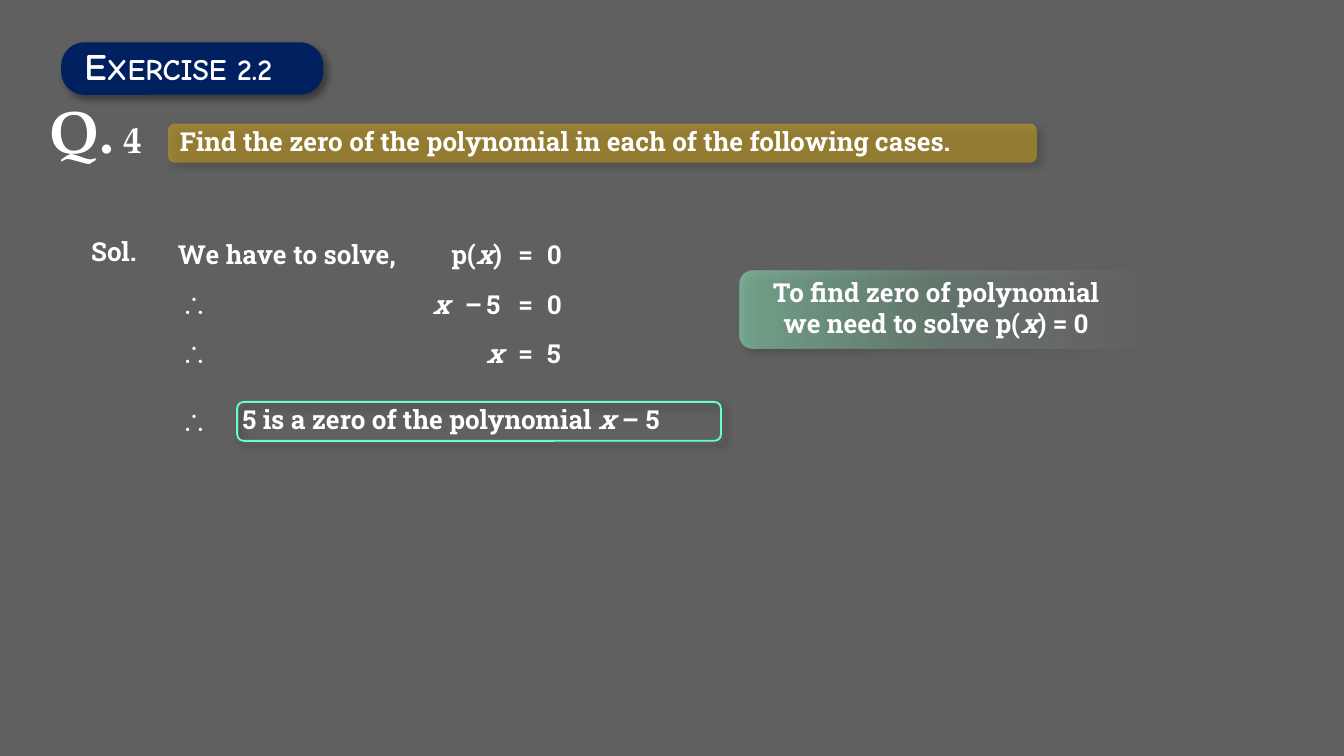
"""Build the Exercise 2.2 question 4 slide: the zero of a linear polynomial."""
from dataclasses import dataclass
from typing import NamedTuple, Optional

from lxml.etree import SubElement
from pptx import Presentation
from pptx.dml.color import RGBColor
from pptx.enum.shapes import MSO_SHAPE as Shapes
from pptx.enum.text import MSO_AUTO_SIZE as AutoSize, PP_ALIGN as Align
from pptx.oxml import parse_xml
from pptx.oxml.ns import nsdecls, qn
from pptx.util import Inches, Pt


@dataclass(frozen=True)
class Theme:
    backdrop: str = "606060"
    navy: str = "002060"
    gold: str = "FFC000"
    mint: str = "99FFCC"
    outline: str = "66FFCC"
    white: str = "FFFFFF"
    shadow: str = "000000"
    body_font: str = "Roboto Slab"
    symbol_font: str = "Arial"
    badge_font: str = "Comic Neue"
    question_font: str = "TeX Gyre Pagella"
    body: int = 14
    small_caps: int = 16
    caps: int = 20
    question: int = 32


class Area(NamedTuple):
    """Left, top, width and height in grid cells."""
    column: float
    row: float
    columns: float
    rows: float


class Piece(NamedTuple):
    text: str
    italic: bool = False
    size: Optional[int] = None


class Stop(NamedTuple):
    share: int
    color: str
    alpha: int


@dataclass(frozen=True)
class Panel:
    area: Area
    fill: Optional[str] = None
    alpha: int = 100
    line: Optional[str] = None
    corner: float = 0.167
    stops: tuple = ()


@dataclass(frozen=True)
class Label:
    area: Area
    pieces: tuple
    font: str
    align: Align = Align.LEFT
    wrap: bool = True


THEME = Theme()
SLIDE_WIDTH = 10
SLIDE_HEIGHT = SLIDE_WIDTH * 9 / 16
CELL = SLIDE_WIDTH / 100
LINE_ROWS = 3.4
TERM_COLUMNS = 3.3
COLUMNS = {"lead": 12.5, "x": 31.2, "minus": 33.6, "last": 35.2,
           "equals": 37.6, "right": 39.7}
ROWS = {"solve": 17.25, "expand": 21, "result": 24.6, "conclude": 29.7}

PANELS = (
    Panel(Area(4.55, 3.15, 19.5, 3.9), THEME.navy, corner=0.442),
    Panel(Area(12.5, 9.2, 64.65, 2.9), THEME.gold, alpha=38),
    Panel(Area(17.65, 29.9, 36, 2.9), line=THEME.outline),
    Panel(Area(55.05, 20.15, 30.2, 5.75), stops=(
        Stop(0, THEME.mint, 47), Stop(50, THEME.mint, 16), Stop(100, THEME.white, 0))),
)

X = Piece("x", italic=True)
LABELS = (
    Label(Area(2.7, 6.5, 10.7, 6.4),
          (Piece("Q.", size=THEME.question), Piece(" 4", size=THEME.caps)), THEME.question_font),
    Label(Area(5.3, 2.7, 18.5, 4.4),
          (Piece("E", size=THEME.caps), Piece("XERCISE 2.2", size=THEME.small_caps)),
          THEME.badge_font),
    Label(Area(12.4, 8.85, 65.8, LINE_ROWS),
          (Piece("Find the zero of the polynomial in each of the following cases."),),
          THEME.body_font, Align.JUSTIFY),
    Label(Area(5.8, 17, 6.6, LINE_ROWS), (Piece("Sol."),), THEME.body_font),
    Label(Area(12.25, ROWS["solve"], 19.8, LINE_ROWS), (Piece("We have to solve,"),),
          THEME.body_font),
    Label(Area(32.6, ROWS["solve"], 5.8, LINE_ROWS), (Piece("p("), X, Piece(")")),
          THEME.body_font, wrap=False),
    Label(Area(17.05, 29.55, 36.8, LINE_ROWS),
          (Piece("5 is a zero of the polynomial "), Piece("x ", italic=True), Piece("– 5")),
          THEME.body_font),
    Label(Area(55.15, 20.05, 29, 5.7),
          (Piece("To find zero of polynomial we need to solve p("), X, Piece(") = 0")),
          THEME.body_font, Align.CENTER),
)

TERMS = (
    ("solve", "equals", Piece("=")), ("solve", "right", Piece("0")),
    ("expand", "x", X), ("expand", "minus", Piece("–")), ("expand", "last", Piece("5")),
    ("expand", "equals", Piece("=")), ("expand", "right", Piece("0")),
    ("result", "last", X), ("result", "equals", Piece("=")), ("result", "right", Piece("5")),
)
THEREFORE_ROWS = ("expand", "result", "conclude")


def place(area: Area) -> list:
    """Turn grid cells into slide lengths."""
    return [Inches(cells * CELL) for cells in area]


def add_color(parent, color: str, alpha: int) -> None:
    """Append a colour with an opacity in percent."""
    element = SubElement(parent, qn("a:srgbClr"), val=color)
    SubElement(element, qn("a:alpha"), val=str(alpha * 1000))


def add_gradient(shape, stops: tuple) -> None:
    """Fill a shape with a left-to-right gradient."""
    gradient = parse_xml(f'<a:gradFill {nsdecls("a")}><a:gsLst/><a:lin ang="0"/></a:gradFill>')
    for stop in stops:
        add_color(SubElement(gradient[0], qn("a:gs"), pos=str(stop.share * 1000)),
                  stop.color, stop.alpha)
    shape._element.spPr.find(qn("a:prstGeom")).addnext(gradient)


def add_shadow(shape) -> None:
    """Give a shape a soft shadow to the lower right."""
    shape.shadow.inherit = False
    effects = shape._element.spPr.find(qn("a:effectLst"))
    shadow = SubElement(effects, qn("a:outerShdw"), blurRad=str(Pt(4)), dist=str(Pt(3)),
                        dir=str(45 * 60000), algn="tl", rotWithShape="0")
    add_color(shadow, THEME.shadow, 40)


def draw_panel(slide, panel: Panel) -> None:
    """Draw one rounded panel."""
    shape = slide.shapes.add_shape(Shapes.ROUNDED_RECTANGLE, *place(panel.area))
    shape.adjustments[0] = panel.corner
    if panel.stops:
        add_gradient(shape, panel.stops)
    elif panel.fill:
        shape.fill.solid()
        shape.fill.fore_color.rgb = RGBColor.from_string(panel.fill)
        color = shape._element.spPr.find(qn("a:solidFill"))[0]
        SubElement(color, qn("a:alpha"), val=str(panel.alpha * 1000))
    else:
        shape.fill.background()
    if panel.line:
        shape.line.color.rgb = RGBColor.from_string(panel.line)
        shape.line.width = Pt(1)
    else:
        shape.line.fill.background()
    add_shadow(shape)


def draw_label(slide, label: Label) -> None:
    """Write one text box."""
    frame = slide.shapes.add_textbox(*place(label.area)).text_frame
    frame.word_wrap = label.wrap
    frame.auto_size = AutoSize.SHAPE_TO_FIT_TEXT
    paragraph = frame.paragraphs[0]
    paragraph.alignment = label.align
    paragraph.font.name = label.font
    paragraph.font.size = Pt(THEME.body)
    paragraph.font.bold = True
    paragraph.font.color.rgb = RGBColor.from_string(THEME.white)
    for piece in label.pieces:
        run = paragraph.add_run()
        run.text = piece.text
        if piece.italic:
            run.font.italic = True
        if piece.size:
            run.font.size = Pt(piece.size)


def main() -> None:
    """Build and save the slide."""
    presentation = Presentation()
    presentation.slide_width, presentation.slide_height = Inches(SLIDE_WIDTH), Inches(SLIDE_HEIGHT)
    slide = presentation.slides.add_slide(presentation.slide_layouts[6])
    backdrop = slide.shapes.add_shape(Shapes.RECTANGLE, *place(Area(0, -0.2, 100, 56.5)))
    backdrop.fill.solid()
    backdrop.fill.fore_color.rgb = RGBColor.from_string(THEME.backdrop)
    backdrop.line.fill.background()
    backdrop.shadow.inherit = False
    for panel in PANELS:
        draw_panel(slide, panel)
    for label in LABELS:
        draw_label(slide, label)
    for row, column, piece in TERMS:
        area = Area(COLUMNS[column], ROWS[row], TERM_COLUMNS, LINE_ROWS)
        draw_label(slide, Label(area, (piece,), THEME.body_font, wrap=False))
    for row in THEREFORE_ROWS:
        area = Area(COLUMNS["lead"], ROWS[row], 3.9, LINE_ROWS)
        draw_label(slide, Label(area, (Piece("∴"),), THEME.symbol_font))
    presentation.save("out.pptx")


if __name__ == "__main__":
    main()
